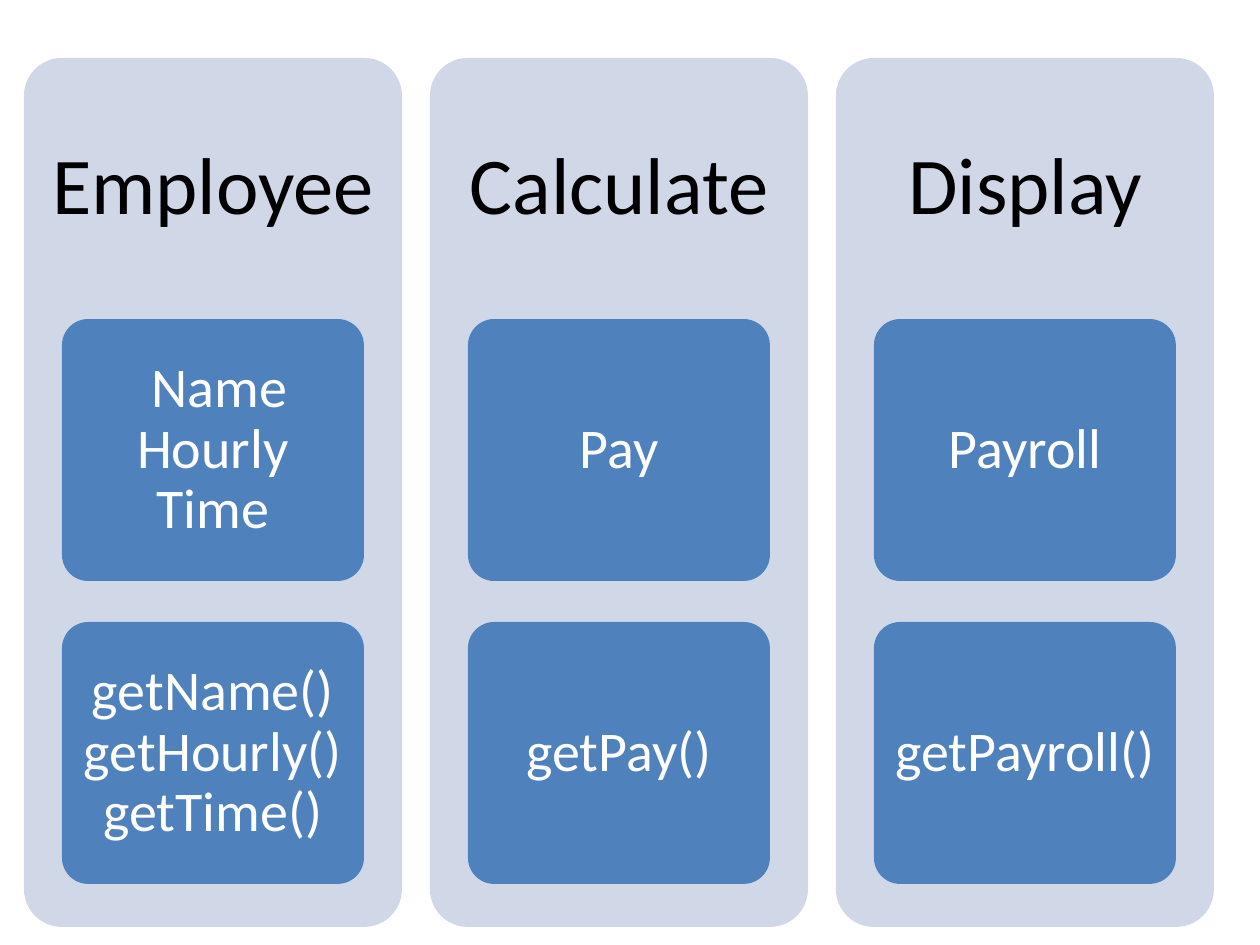
from pptx import Presentation
from pptx.dml.color import RGBColor
from pptx.enum.shapes import MSO_SHAPE
from pptx.enum.text import MSO_ANCHOR, PP_ALIGN
from pptx.util import Emu, Pt

SCALE = 914400 // 126  # EMU per pixel

COLUMNS = [
    ("Employee", " Name Hourly Time", "getName() getHourly() getTime()"),
    ("Calculate", "Pay", "getPay()"),
    ("Display", "Payroll", "getPayroll()"),
]


def px(n):
    return Emu(round(n * SCALE))


def color(code):
    return RGBColor.from_string(code)


def write(shape, text, size, ink, side, edge):
    frame = shape.text_frame
    frame.word_wrap = True
    frame.vertical_anchor = MSO_ANCHOR.MIDDLE
    frame.margin_left = frame.margin_right = px(side)
    frame.margin_top = frame.margin_bottom = px(edge)
    para = frame.paragraphs[0]
    para.alignment = PP_ALIGN.CENTER
    para.line_spacing = 0.9
    run = para.add_run()
    run.text = text
    run.font.name = "Calibri"
    run.font.size = Pt(size)
    run.font.color.rgb = color(ink)


def add_box(slide, x, y, w, h, fill):
    box = slide.shapes.add_shape(
        MSO_SHAPE.ROUNDED_RECTANGLE, px(x), px(y), px(w), px(h))
    box.adjustments[0] = 0.1
    box.shadow.inherit = False
    box.fill.solid()
    box.fill.fore_color.rgb = color(fill)
    box.line.fill.background()
    return box


def add_title(slide, x, y, w, h, text):
    label = slide.shapes.add_textbox(px(x), px(y), px(w), px(h))
    write(label, text, 46, "000000", 24, 24)


def add_column(slide, x, title, *cards):
    # Panel with its heading
    add_box(slide, x, 58, 378, 869, "D0D8E8")
    add_title(slide, x, 58, 378, 261, title)
    # Cards below the heading
    for row, text in enumerate(cards):
        card = add_box(slide, x + 38, 319 + row * 303, 302, 262, "4F81BD")
        write(card, text, 32, "FFFFFF", 11, 9)


def main():
    deck = Presentation()
    deck.slide_width, deck.slide_height = px(1260), px(945)
    slide = deck.slides.add_slide(deck.slide_layouts[6])
    for col, parts in enumerate(COLUMNS):
        add_column(slide, 24 + col * 406, *parts)
    deck.save("out.pptx")


main()
